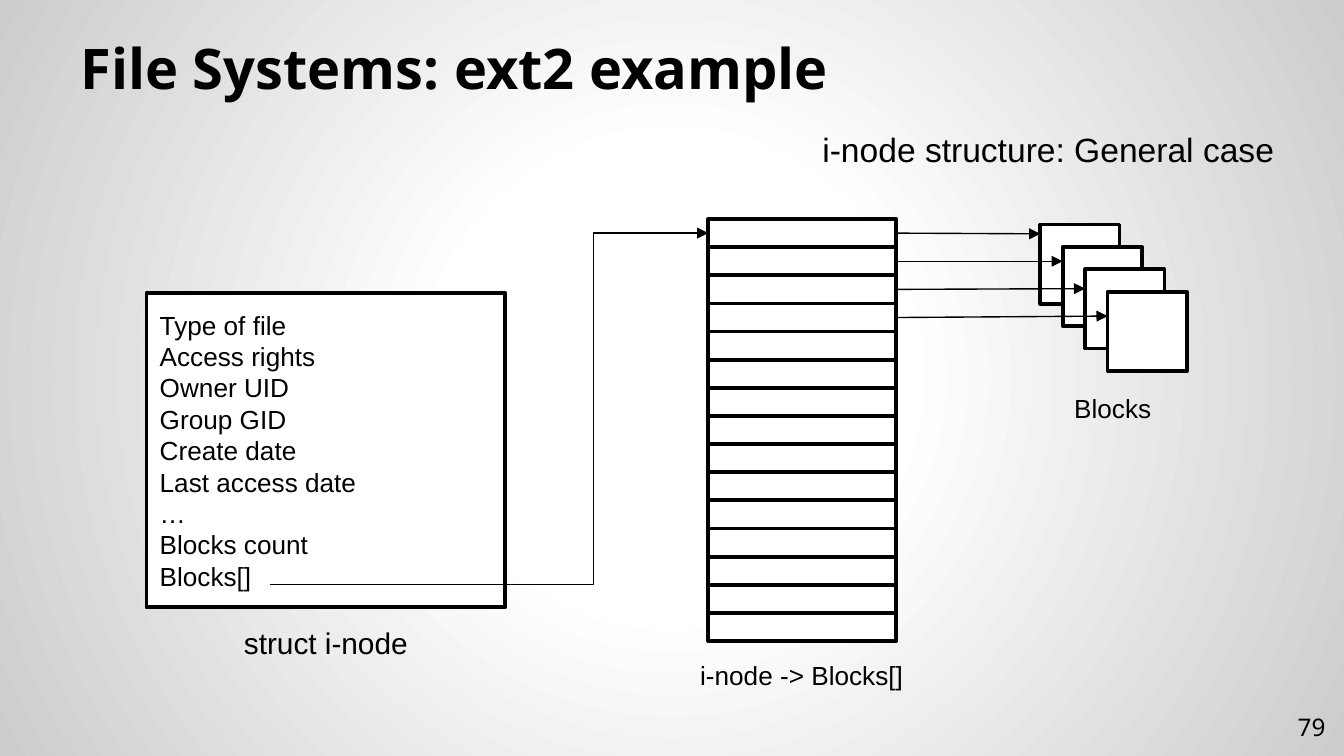
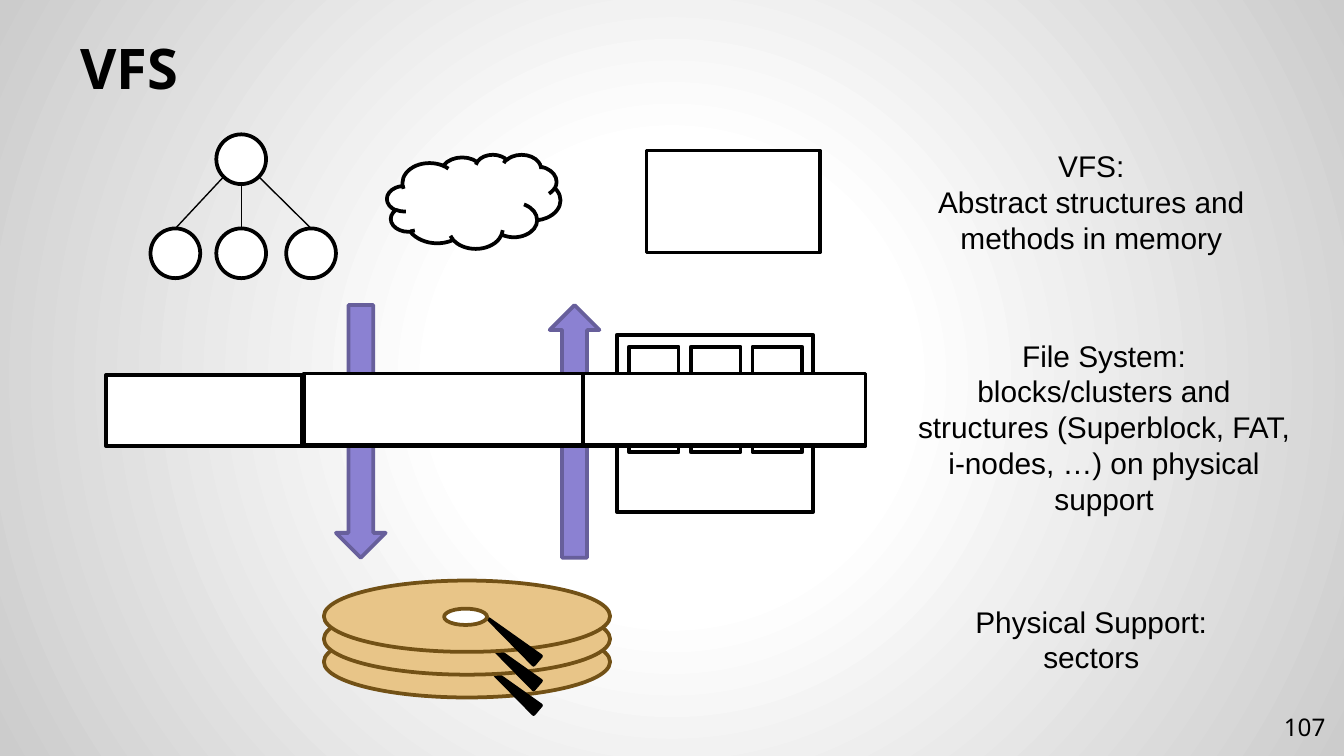
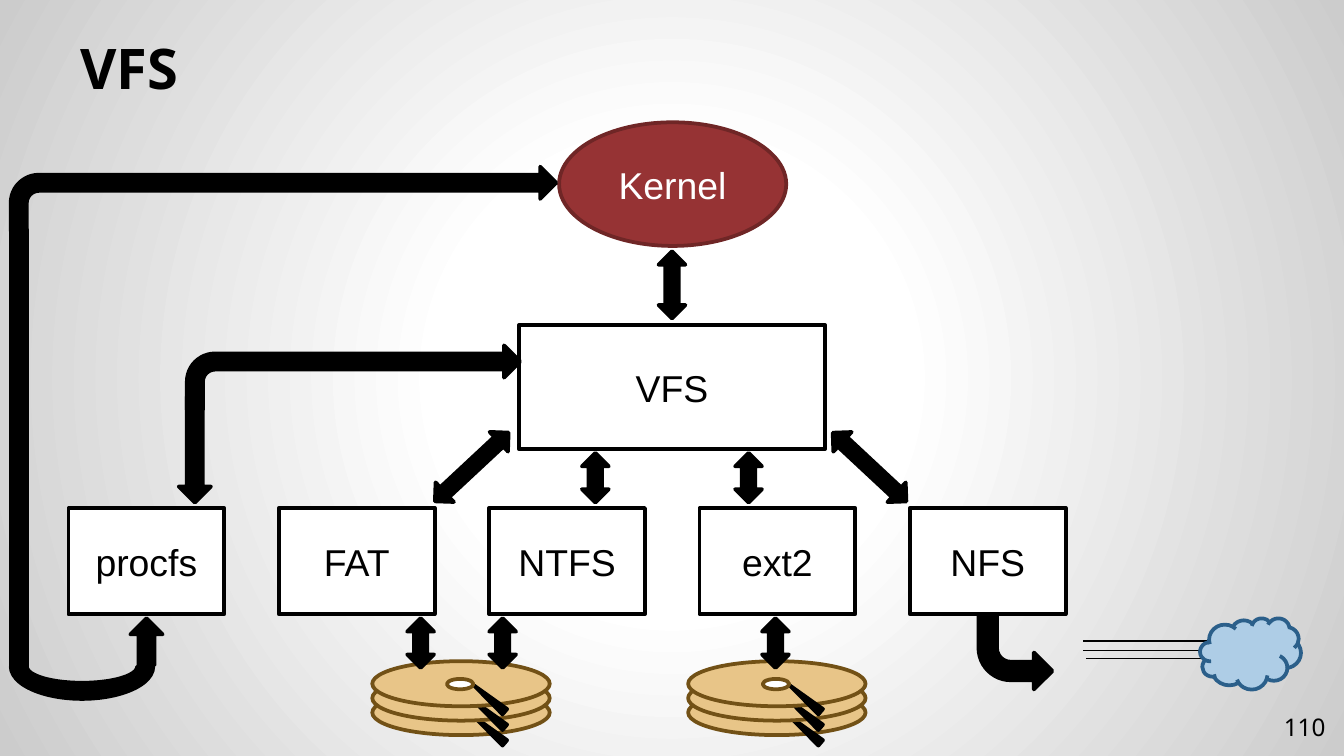
from dataclasses import dataclass
from itertools import product

from lxml.etree import SubElement
from pptx import Presentation
from pptx.dml.color import RGBColor
from pptx.enum.shapes import MSO_CONNECTOR, MSO_SHAPE
from pptx.enum.text import MSO_ANCHOR, PP_ALIGN
from pptx.oxml import parse_xml
from pptx.oxml.ns import nsdecls, qn
from pptx.util import Inches, Pt

COLUMNS, ROWS = 100, 56.25
CELL = 0.1


@dataclass(frozen=True)
class Theme:
    ink: str = "000000"
    paper: str = "FFFFFF"
    edge: str = "CCCCCC"
    violet: tuple = ("8B81D2", "675F9B")
    brass: tuple = ("E8C588", "725116")
    hub: tuple = ("FFFFFF", "725116")
    brick: tuple = ("963334", "6F2626")
    sky: tuple = ("AECDE6", "2B5F8A")
    plain: tuple = ("FFFFFF", "000000")
    solid: tuple = ("000000", "000000")
    body_font: str = "Arial"
    head_font: str = "Noto Sans"
    title: float = 30
    node: float = 20
    heading: float = 18
    caption: float = 16
    label: float = 14
    number: float = 13
    outline: float = 2
    hairline: float = 0.75


THEME = Theme()


@dataclass(frozen=True)
class Box:
    column: float
    row: float
    columns: float
    rows: float

    def inner(self, column, row, columns, rows):
        return Box(self.column + column, self.row + row, columns, rows)

    def share(self, x, y, width, height):
        return self.inner(x * self.columns, y * self.rows, width * self.columns, height * self.rows)

    def point(self, column, row):
        return self.column + column, self.row + row

    def place(self):
        return [grid(value) for value in (self.column, self.row, self.columns, self.rows)]


def grid(value):
    return Inches(value * CELL)


def apply_format(target, values):
    for name, value in values.items():
        setattr(target, name, value)


def write(shape, lines, size, font=THEME.body_font, color=THEME.ink, bold=False,
          align=PP_ALIGN.CENTER, anchor=MSO_ANCHOR.TOP, inset=0.05):
    frame = shape.text_frame
    apply_format(frame, {"word_wrap": True, "vertical_anchor": anchor,
                         "margin_top": Inches(inset), "margin_bottom": Inches(inset)})
    for index, line in enumerate(lines):
        para = frame.add_paragraph() if index else frame.paragraphs[0]
        para.alignment = align
        span = para.add_run()
        span.text = line
        apply_format(span.font, {"name": font, "size": Pt(size), "bold": bold})
        span.font.color.rgb = RGBColor.from_string(color)


def add_text(page, box, lines, size, **format_values):
    write(page.shapes.add_textbox(*box.place()), lines, size, **format_values)


def add_shape(page, kind, box, colors=THEME.plain, rotation=0):
    shape = page.shapes.add_shape(kind, *box.place())
    fill, line = (RGBColor.from_string(color) for color in colors)
    shape.fill.solid()
    shape.fill.fore_color.rgb = fill
    shape.line.color.rgb = line
    shape.line.width = Pt(THEME.outline)
    shape.shadow.inherit = False
    shape.rotation = rotation
    return shape


def add_node(page, box, name, kind=MSO_SHAPE.RECTANGLE, colors=THEME.plain, color=THEME.ink):
    shape = add_shape(page, kind, box, colors)
    write(shape, [name], THEME.node, color=color, anchor=MSO_ANCHOR.MIDDLE)


def add_line(page, start, end, arrow=False, bend=None):
    kind = MSO_CONNECTOR.ELBOW if bend else MSO_CONNECTOR.STRAIGHT
    line = page.shapes.add_connector(kind, *(grid(value) for value in (*start, *end)))
    line.line.color.rgb = RGBColor.from_string(THEME.ink)
    line.line.width = Pt(THEME.hairline)
    properties = line.element.spPr
    if arrow:
        SubElement(properties.find(qn("a:ln")), qn("a:tailEnd"), type="triangle")
    if bend:
        guides = properties.find(qn("a:prstGeom")).find(qn("a:avLst"))
        SubElement(guides, qn("a:gd"), name="adj1", fmla=f"val {round(bend * 100000)}")
    SubElement(properties, qn("a:effectLst"))
    return line


def paint_background(page):
    page.background.fill.solid()
    stops = ((0, THEME.paper), (30, THEME.paper), (100, THEME.edge))
    stop_xml = "".join(f'<a:gs pos="{share * 1000}"><a:srgbClr val="{color}"/></a:gs>'
                       for share, color in stops)
    gradient = parse_xml(
        f'<a:gradFill {nsdecls("a")} rotWithShape="1"><a:gsLst>{stop_xml}</a:gsLst>'
        '<a:path path="circle"><a:fillToRect l="50000" t="50000" r="50000" b="50000"/>'
        '</a:path></a:gradFill>')
    solid = next(page.element.iter(qn("a:solidFill")))
    solid.getparent().replace(solid, gradient)


def new_page(deck, title, number):
    page = deck.slides.add_slide(deck.slide_layouts[6])
    paint_background(page)
    add_text(page, Box(5, 2.3, 90, 6.2), [title], THEME.title, font=THEME.head_font, bold=True,
             align=PP_ALIGN.LEFT, anchor=MSO_ANCHOR.BOTTOM, inset=0.1)
    add_text(page, Box(93.6, 51.9, 6, 4.3), [str(number)], THEME.number, font=THEME.head_font,
             align=PP_ALIGN.RIGHT, anchor=MSO_ANCHOR.MIDDLE, inset=0.1)
    return page


def draw_inode_record(page, box):
    record = add_shape(page, MSO_SHAPE.RECTANGLE, box.inner(0, 0, box.columns, 23.4))
    fields = ["Type of file", "Access rights", "Owner UID", "Group GID", "Create date",
              "Last access date", "…", "Blocks count", "Blocks[]"]
    write(record, fields, THEME.label, align=PP_ALIGN.LEFT, anchor=MSO_ANCHOR.MIDDLE)
    add_text(page, box.inner(0, 24.2, box.columns, 3.7), ["struct i-node"], THEME.caption)


def draw_pointer_table(page, box):
    count = 15
    height = 31.4 / count
    entries = [add_shape(page, MSO_SHAPE.RECTANGLE, box.inner(3.6, index * height, 14, height))
               for index in range(count)]
    add_text(page, box.inner(0, 32.3, box.columns, 3.4), ["i-node -> Blocks[]"], THEME.label)
    return entries


def draw_data_blocks(page, box, entries):
    blocks = [box.inner(0.9 + 1.67 * index, 1.67 * index, 5.9, 5.9) for index in range(4)]
    for block in blocks:
        add_shape(page, MSO_SHAPE.RECTANGLE, block)
    for index, (entry, block) in enumerate(zip(entries, blocks)):
        target = block.point(0, 0.7 + 0.37 * index)
        add_line(page, target, target, arrow=True).begin_connect(entry, 3)
    add_text(page, box.inner(0, 12, box.columns, 3.4), ["Blocks"], THEME.label)


def draw_disk(page, box):
    for level in (2, 1, 0):
        offset = 0.195 * level
        add_shape(page, MSO_SHAPE.OVAL, box.share(0, offset, 1, 0.61), THEME.brass)
        add_shape(page, MSO_SHAPE.ISOSCELES_TRIANGLE,
                  box.share(0.64, 0.23 + offset * 1.08, 0.04, 0.55), THEME.solid, 310.4)
    add_shape(page, MSO_SHAPE.OVAL, box.share(0.42, 0.24, 0.15, 0.14), THEME.hub)


def draw_transfers(page, box):
    for column, rotation in ((0, 0), (15.9, 180)):
        add_shape(page, MSO_SHAPE.DOWN_ARROW, box.inner(column, 0, 3.7, box.rows),
                  THEME.violet, rotation)


def draw_volume(page, box):
    add_shape(page, MSO_SHAPE.RECTANGLE, box.inner(38, 0, 14.6, box.rows))
    for row, column in product(range(2), range(3)):
        tile = box.inner(38.9 + 4.6 * column, 0.9 + 4.35 * row, 3.7, 3.5)
        add_shape(page, MSO_SHAPE.RECTANGLE, tile)
    for column, row, columns in ((0.1, 3, 56.4), (0, 3, 14.6), (14.7, 2.9, 21), (35.5, 2.9, 21)):
        add_shape(page, MSO_SHAPE.RECTANGLE, box.inner(column, row, columns, 5.3))


def draw_abstractions(page, box):
    size = 3.7
    add_shape(page, MSO_SHAPE.OVAL, box.inner(4.9, 0, size, size))
    for column, start, row in ((0, 5.4, 3.2), (4.9, 6.75, size), (10.1, 8.1, 3.2)):
        child = add_shape(page, MSO_SHAPE.OVAL, box.inner(column, 7, size, size))
        origin = box.point(start, row)
        add_line(page, origin, origin).end_connect(child, 0)
    add_shape(page, MSO_SHAPE.CLOUD, box.inner(17.6, 1.5, 12.9, 7))
    add_shape(page, MSO_SHAPE.RECTANGLE, box.inner(36.9, 1.2, 12.9, 7.6))


def draw_file_systems(page, box):
    for index, name in enumerate(["procfs", "FAT", "NTFS", "ext2", "NFS"]):
        add_node(page, box.inner(15.65 * index, 0, 11.6, box.rows), name)


def draw_two_way_arrows(page, box):
    arrows = [(49, 18.7, 5, 0), (34.1, 31, 7.5, 47), (63.7, 31, 7.5, 313)]
    arrows += [(column, 33.7, 3.7, 0) for column in (43.3, 54.7)]
    arrows += [(column, 46, 3.7, 0) for column in (30.3, 36.4, 56.7)]
    for column, row, rows, rotation in arrows:
        add_shape(page, MSO_SHAPE.UP_DOWN_ARROW, box.inner(column, row, 2, rows),
                  THEME.solid, rotation)


def draw_network(page, box):
    for column, row in ((0, 1.7), (0, 2.4), (0.2, 3)):
        add_line(page, box.point(column, row), box.point(column + 10.2, row))
    add_shape(page, MSO_SHAPE.CLOUD, box.inner(8.7, 0, 7.5, box.rows), THEME.sky)


def draw_network_bend(page, box):
    bend = add_shape(page, MSO_SHAPE.BENT_ARROW, box, THEME.solid, 180)
    bend.element.spPr.find(qn("a:xfrm")).set("flipH", "1")


def draw_vfs_route(page, box):
    add_shape(page, MSO_SHAPE.BENT_ARROW, box.inner(0.6, 0, 24.8, 4.8), THEME.solid)
    add_shape(page, MSO_SHAPE.DOWN_ARROW, box.inner(0, 3.8, 2.4, 7.9), THEME.solid)


def draw_kernel_route(page, box):
    add_shape(page, MSO_SHAPE.BENT_ARROW, box.inner(0, 0, 40.6, 4.8), THEME.solid)
    add_shape(page, MSO_SHAPE.RECTANGLE, box.inner(0, 4.7, 1.2, 32.6), THEME.solid)
    add_shape(page, MSO_SHAPE.BLOCK_ARC, box.inner(0, 34.8, 10.6, 4.8), THEME.solid, 180)
    add_shape(page, MSO_SHAPE.DOWN_ARROW, box.inner(8.9, 33.6, 2.4, 3.5), THEME.solid, 180)


def build_inode_page(deck):
    page = new_page(deck, "File Systems: ext2 example", 79)
    record = Box(10.9, 21.8, 26.7, 27.9)
    draw_inode_record(page, record)
    entries = draw_pointer_table(page, Box(49.1, 16.3, 21.1, 35.7))
    pointer = add_line(page, record.point(9.2, 21.7), (52.7, 17.4), arrow=True, bend=0.738)
    pointer.end_connect(entries[0], 1)
    draw_data_blocks(page, Box(76.5, 16.7, 12.6, 15.4), entries)
    add_text(page, Box(59.4, 9.1, 37.2, 4), ["i-node structure: General case"], THEME.heading)


def build_layers_page(deck):
    page = new_page(deck, "VFS", 107)
    draw_transfers(page, Box(25, 22.7, 19.6, 18.8))
    draw_disk(page, Box(24.1, 43.2, 21.3, 8.7))
    draw_volume(page, Box(7.9, 24.9, 56.6, 13.2))
    draw_abstractions(page, Box(11.2, 10, 49.8, 10.7))
    captions = [
        (Box(68.7, 10.5, 25, 9.1), ["VFS:", "Abstract structures and methods in memory"]),
        (Box(66.6, 24.6, 31.1, 14.5),
         ["File System:", "blocks/clusters and structures (Superblock, FAT, i-nodes, …) "
          "on physical support"]),
        (Box(70.7, 44.4, 21, 6.4), ["Physical Support:", "sectors"]),
    ]
    for box, lines in captions:
        add_text(page, box, lines, THEME.caption)


def build_kernel_page(deck):
    page = new_page(deck, "VFS", 110)
    draw_network_bend(page, Box(72.8, 45.6, 5.5, 5.7))
    add_node(page, Box(41.6, 9.1, 16.9, 9.2), "Kernel", MSO_SHAPE.OVAL, THEME.brick, THEME.paper)
    add_node(page, Box(38.6, 24.2, 22.8, 9.2), "VFS")
    draw_file_systems(page, Box(5.1, 37.8, 74.2, 7.9))
    for column in (27.7, 51.2):
        draw_disk(page, Box(column, 49.2, 13.2, 5.5))
    draw_two_way_arrows(page, Box(0, 0, COLUMNS, ROWS))
    draw_network(page, Box(80.6, 46, 16.2, 5.3))
    draw_vfs_route(page, Box(13.3, 25.7, 25.4, 11.7))
    draw_kernel_route(page, Box(0.8, 12.4, 40.6, 39.6))


def main():
    deck = Presentation()
    deck.slide_width, deck.slide_height = grid(COLUMNS), grid(ROWS)
    build_inode_page(deck)
    build_layers_page(deck)
    build_kernel_page(deck)
    deck.save("out.pptx")


if __name__ == "__main__":
    main()
